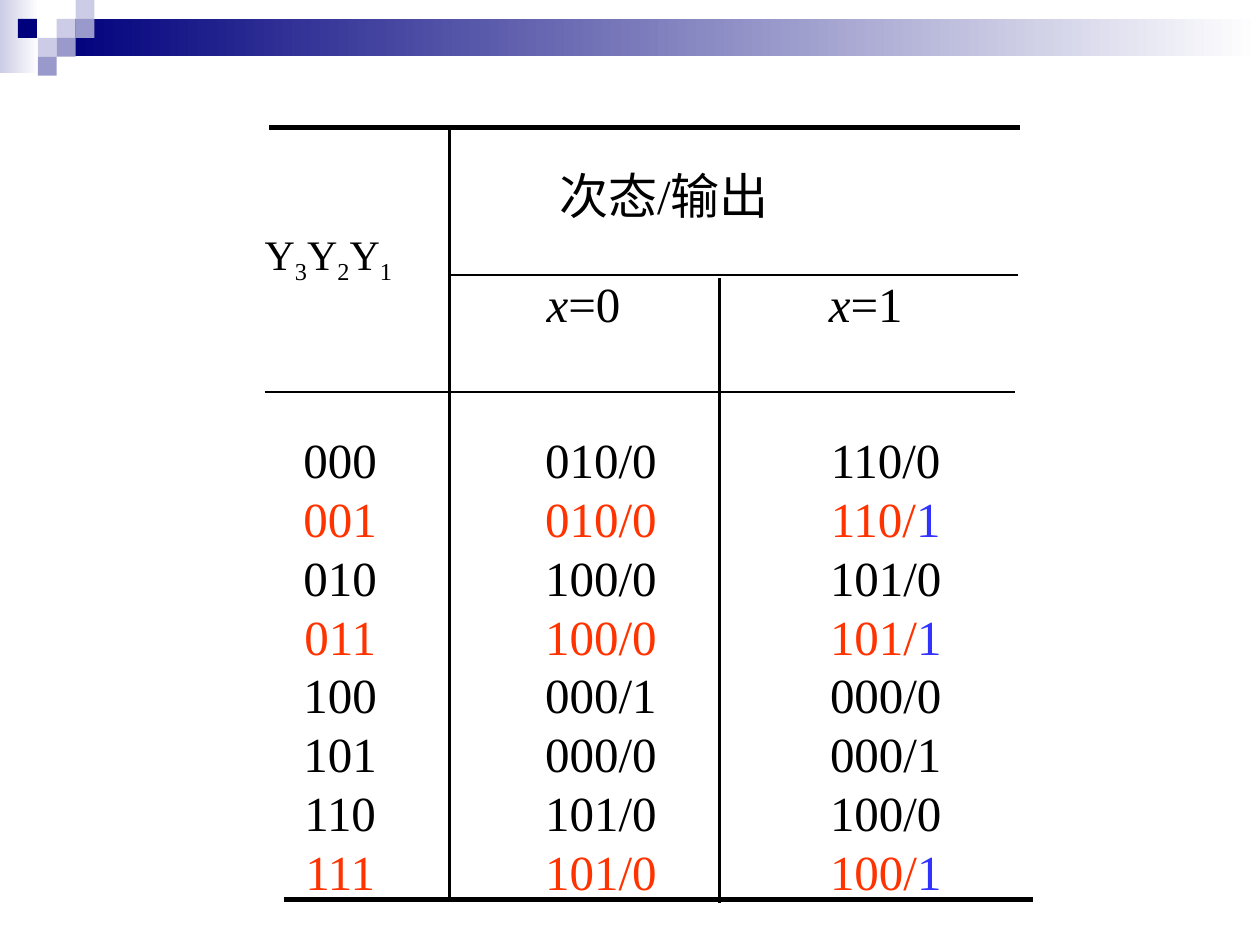
from lxml import etree
from pptx import Presentation
from pptx.dml.color import RGBColor
from pptx.enum.shapes import MSO_CONNECTOR, MSO_SHAPE
from pptx.enum.text import MSO_ANCHOR, PP_ALIGN
from pptx.oxml.ns import qn
from pptx.util import Pt

RECT, LINE = MSO_SHAPE.RECTANGLE, MSO_CONNECTOR.STRAIGHT
LEFT, MID = PP_ALIGN.LEFT, PP_ALIGN.CENTER
TOP, CENTRE = MSO_ANCHOR.TOP, MSO_ANCHOR.MIDDLE
FONT = "Times New Roman"
BLACK, RED, BLUE, WHITE = "000000", "FF3300", "3333FF", "FFFFFF"
NAVY, PALE, LILAC = "00007D", "CCCCE6", "9999CC"

# Content: present state, next state / output for x=0 and x=1
ROWS = [
    ("000", "010/0", "110/0"),
    ("001", "010/0", "110/1"),
    ("010", "100/0", "101/0"),
    ("011", "100/0", "101/1"),
    ("100", "000/1", "000/0"),
    ("101", "000/0", "000/1"),
    ("110", "101/0", "100/0"),
    ("111", "101/0", "100/1"),
]
MARKED = {"001", "011", "111"}

# Header cells: row, column, runs (text, style), size, left and top margin
HEADS = [
    (0, 0, [("Y", ""), ("3", "sub"), ("Y", ""), ("2", "sub"),
            ("Y", ""), ("1", "sub")], 24, 0, 60),
    (0, 1, [("次态/输出", "")], 28, 62.6, 17),
    (1, 1, [("x", "italic"), ("=0", "")], 28, 55.4, 2.6),
    (1, 2, [("x", "italic"), ("=1", "")], 28, 62.6, 2.6),
]

# Table grid
X, Y = 151.2, 73
WIDTHS = [105.8, 154.1, 172.1]
HEIGHTS = [84, 82] + [33.6] * len(ROWS)
PADS = [(0, 19.4), (18.7, 0), (18, 0)]

# Rules: x1, y1, x2, y2, weight
RULES = [
    (154, 72.8, 583, 72.8, 3),
    (162, 514, 590.5, 514, 3),
    (257, 72.8, 257, 515.5, 1.5),
    (411, 159, 411, 516, 1.5),
    (257, 157, 582, 157, 1),
    (151.2, 224, 580, 224, 1),
]

# Banner: bars that fade to white, then squares
BARS = [(0, 0, 22.3, 41.8, PALE), (32.4, 10.8, 687.6, 21.4, NAVY)]
SIDE = 10.8
TILES = [(3, 1, PALE), (4, 0, PALE), (4, 1, LILAC), (2, 2, PALE),
         (0.95, 1, NAVY), (3, 2, LILAC), (2, 3, LILAC)]


def rgb(code):
    return RGBColor.from_string(code)


def box(x, y, w, h, code, fade=False):
    shape = slide.shapes.add_shape(RECT, Pt(x), Pt(y), Pt(w), Pt(h))
    shape.shadow.inherit = False
    shape.line.fill.background()
    if fade:
        shape.fill.gradient()
        shape.fill.gradient_angle = 0
        for stop, tone in zip(shape.fill.gradient_stops, (code, WHITE)):
            stop.color.rgb = rgb(tone)
    else:
        shape.fill.solid()
        shape.fill.fore_color.rgb = rgb(code)


def rule(x1, y1, x2, y2, weight):
    line = slide.shapes.add_connector(LINE, Pt(x1), Pt(y1), Pt(x2), Pt(y2))
    line.line.width = Pt(weight)
    line.line.color.rgb = rgb(BLACK)
    etree.SubElement(line._element.spPr, qn("a:effectLst"))


def write(cell, runs, size, align, anchor, pads):
    """Fill a cell with (text, style, colour) runs."""
    (cell.margin_left, cell.margin_top, cell.margin_right,
     cell.margin_bottom) = (Pt(pad) for pad in pads)
    cell.vertical_anchor = anchor
    para = cell.text_frame.paragraphs[0]
    para.alignment = align
    para.font.size, para.font.name = Pt(size), FONT
    for text, style, code in runs:
        run = para.add_run()
        run.text = text
        run.font.size, run.font.name = Pt(size), FONT
        run.font.color.rgb = rgb(code)
        if style == "italic":
            run.font.italic = True
        elif style == "sub":
            run.font._element.set("baseline", "-25000")


deck = Presentation()
deck.slide_width, deck.slide_height = Pt(720), Pt(540)
slide = deck.slides.add_slide(deck.slide_layouts[6])

# Banner
for bar in BARS:
    box(*bar, fade=True)
for col, row, code in TILES:
    box(col * SIDE, row * SIDE, SIDE, SIDE, code)

# Table
table = slide.shapes.add_table(
    len(HEIGHTS), len(WIDTHS), Pt(X), Pt(Y),
    Pt(sum(WIDTHS)), Pt(sum(HEIGHTS))).table
table.first_row = table.horz_banding = False
for col, width in zip(table.columns, WIDTHS):
    col.width = Pt(width)
for row, height in zip(table.rows, HEIGHTS):
    row.height = Pt(height)
for cell in table.iter_cells():
    cell.fill.background()
table.cell(0, 0).merge(table.cell(1, 0))
table.cell(0, 1).merge(table.cell(0, 2))

for r, c, runs, size, left, top in HEADS:
    write(table.cell(r, c), [(*run, BLACK) for run in runs],
          size, LEFT, TOP, (left, top, 0, 0))

for r, row in enumerate(ROWS, 2):
    code = RED if row[0] in MARKED else BLACK
    for c, (text, (left, right)) in enumerate(zip(row, PADS)):
        runs = [(text, "", code)]
        if c == 2 and code == RED:
            runs = [(text[:-1], "", RED), (text[-1], "", BLUE)]
        write(table.cell(r, c), runs, 28, MID, CENTRE, (left, 0, right, 0))

# Rules
for item in RULES:
    rule(*item)

deck.save("out.pptx")
